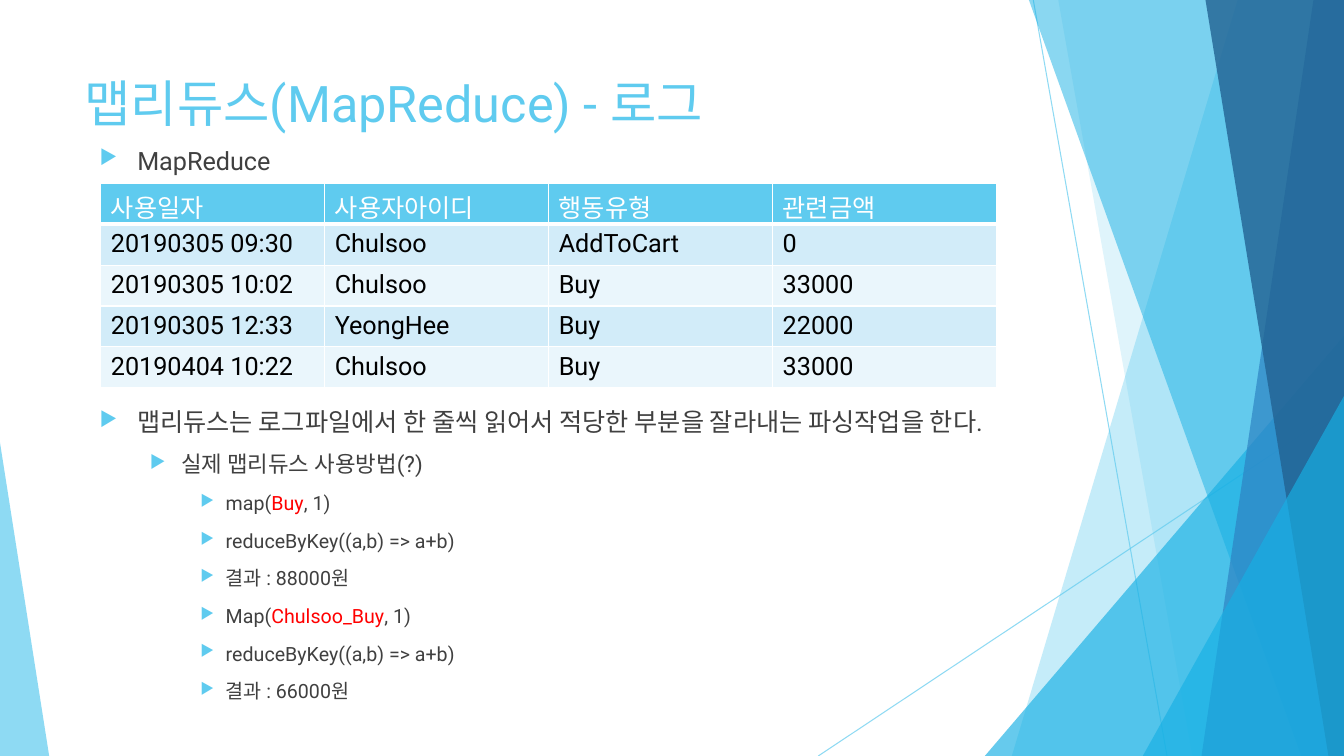
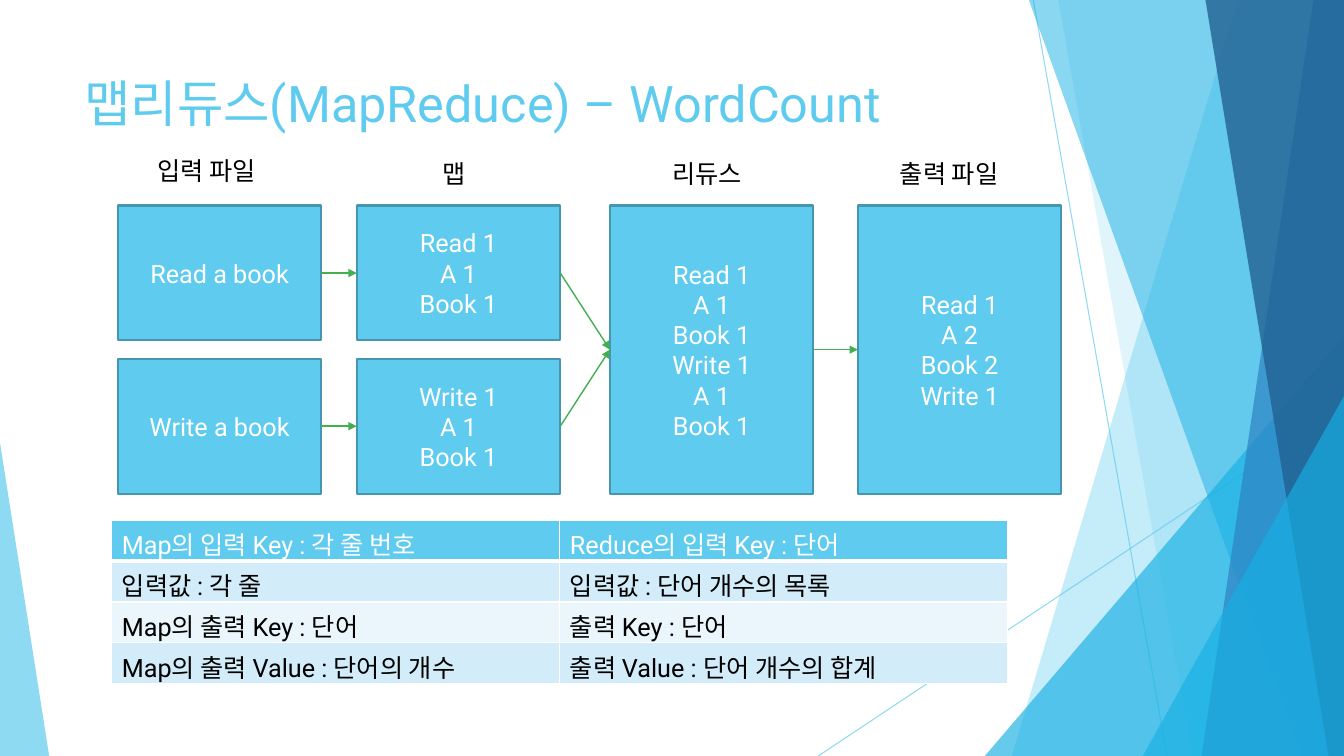
from dataclasses import dataclass

from lxml.etree import SubElement as Sub
from pptx import Presentation
from pptx.dml.color import RGBColor as RGB
from pptx.enum.shapes import MSO_CONNECTOR as Conn, MSO_SHAPE as Shape
from pptx.enum.text import MSO_ANCHOR as Anchor, PP_ALIGN as Align
from pptx.oxml.ns import qn
from pptx.util import Cm, Pt


@dataclass(frozen=True)
class Theme:
    font: str = "Roboto"
    sky: str = "5FCBEF"
    azure: str = "17B0E4"
    blue: str = "2E83C3"
    navy: str = "226292"
    edge: str = "4696B1"
    green: str = "42B051"
    red: str = "FF0000"
    white: str = "FFFFFF"
    black: str = "000000"
    grey: str = "404040"
    bands: tuple = ("D2ECF9", "EAF6FC")
    title: int = 36
    text: int = 18
    levels: tuple = (18, 16, 14)


T = Theme()
W, H = 33.87, 19.05

# Shared backdrop, back to front
RAYS = [(26.04, 0, 29.41, H), (W, 10.24, 20.62, H)]
# slant: top x, bottom x; wedge: left, top, width, peak
BACKDROP = [
    ("slant", (31.19, 25.5), T.sky, 36),
    ("slant", (26.67, 30.05), T.sky, 20),
    ("wedge", (24.82, 8.46, 9.05, 1), T.azure, 66),
    ("slant", (25.93, 32.79), T.azure, 50),
    ("slant", (33.1, 30.28), T.blue, 70),
    ("slant", (30.38, 33.48), T.navy, 80),
    ("wedge", (28.8, 9.98, 5.07, 1), T.azure, 66),
    ("wedge", (0, 11.15, 1.24, 0), T.sky, 70),
]

# Slide 1: a bar encloses a highlighted word
LOG = [
    ["사용일자", "사용자아이디", "행동유형", "관련금액"],
    ["20190305 09:30", "Chulsoo", "AddToCart", "0"],
    ["20190305 10:02", "Chulsoo", "Buy", "33000"],
    ["20190305 12:33", "YeongHee", "Buy", "22000"],
    ["20190404 10:22", "Chulsoo", "Buy", "33000"],
]
STEPS = [
    (0, "맵리듀스는 로그파일에서 한 줄씩 읽어서 적당한 부분을 잘라내는 파싱작업을 한다."),
    (1, "실제 맵리듀스 사용방법(?)"),
    (2, "map(|Buy|, 1)"),
    (2, "reduceByKey((a,b) => a+b)"),
    (2, "결과 : 88000원"),
    (2, "Map(|Chulsoo_Buy|, 1)"),
    (2, "reduceByKey((a,b) => a+b)"),
    (2, "결과 : 66000원"),
]

# Slide 2: label, label left and top, box left, box contents
STAGES = [
    ("입력 파일", 3.71, 3.78, 2.97, ["Read a book", "Write a book"]),
    ("맵", 10.9, 3.86, 8.99, ["Read 1\nA 1\nBook 1", "Write 1\nA 1\nBook 1"]),
    ("리듀스", 16.69, 3.86, 15.37, ["Read 1\nA 1\nBook 1\nWrite 1\nA 1\nBook 1"]),
    ("출력 파일", 22.43, 3.86, 21.62, ["Read 1\nA 2\nBook 2\nWrite 1"]),
]
KEYS = [
    ["Map의 입력 Key : 각 줄 번호", "Reduce의 입력 Key : 단어"],
    ["입력값 : 각 줄", "입력값 : 단어 개수의 목록"],
    ["Map의 출력 Key : 단어", "출력 Key : 단어"],
    ["Map의 출력 Value : 단어의 개수", "출력 Value : 단어 개수의 합계"],
]


# Formatting helpers
def rgb(color):
    return RGB.from_string(color)


def put(obj, **values):
    for name, value in values.items():
        setattr(obj, name, value)


def solid(fill, color):
    fill.solid()
    fill.fore_color.rgb = rgb(color)


def fade(sp, percent):
    color = sp.element.spPr.find(".//" + qn("a:srgbClr"))
    Sub(color, qn("a:alpha"), val=str(percent * 1000))


def add_run(p, text, size, color):
    r = p.add_run()
    r.text = text
    put(r.font, name=T.font, size=Pt(size), bold=False)
    r.font.color.rgb = rgb(color)


def write(tf, text, size, color, align=Align.LEFT):
    for i, line in enumerate(text.split("\n")):
        p = tf.add_paragraph() if i else tf.paragraphs[0]
        p.alignment = align
        add_run(p, line, size, color)


# Elements
def add_line(s, ends, color, width):
    sp = s.shapes.add_connector(Conn.STRAIGHT, *map(Cm, ends))
    solid(sp.line.fill, color)
    sp.line.width = Pt(width)
    Sub(sp.element.spPr, qn("a:effectLst"))
    return sp


def add_arrow(s, source, target):
    sp = add_line(s, (0, 0, 0, 0), T.green, 1)
    sp.begin_connect(source, 3)
    sp.end_connect(target, 1)
    Sub(sp.element.spPr.find(qn("a:ln")), qn("a:tailEnd"), type="triangle")


def add_slant(s, top, bottom):
    fb = s.shapes.build_freeform(Cm(top), 0)
    corners = [(W, 0), (W, H), (bottom, H)]
    fb.add_line_segments([(Cm(x), Cm(y)) for x, y in corners], close=True)
    return fb.convert_to_shape()


def add_wedge(s, left, top, width, peak):
    box = map(Cm, (left, top, width, H - top))
    sp = s.shapes.add_shape(Shape.ISOSCELES_TRIANGLE, *box)
    sp.adjustments[0] = peak
    return sp


def add_text_box(s, left, top, width, height):
    tf = s.shapes.add_textbox(*map(Cm, (left, top, width, height))).text_frame
    tf.word_wrap = True
    return tf


def add_box(s, left, top, height, text):
    sp = s.shapes.add_shape(Shape.RECTANGLE, *map(Cm, (left, top, 5.13, height)))
    sp.shadow.inherit = False
    solid(sp.fill, T.sky)
    solid(sp.line.fill, T.edge)
    sp.line.width = Pt(1.5)
    put(sp.text_frame, word_wrap=True, vertical_anchor=Anchor.MIDDLE)
    write(sp.text_frame, text, T.text, T.white, Align.CENTER)
    return sp


def add_bullets(s, left, top, width, height, items):
    tf = add_text_box(s, left, top, width, height)
    margins, hangs = (0.95, 2.06, 3.18), (0.95, 0.79, 0.64)
    for i, (level, text) in enumerate(items):
        p = tf.add_paragraph() if i else tf.paragraphs[0]
        put(p, level=level, space_before=Pt(10 if i else 0))
        pPr = p._p.get_or_add_pPr()
        pPr.set("marL", str(Cm(margins[level])))
        pPr.set("indent", str(-Cm(hangs[level])))
        Sub(Sub(pPr, qn("a:buClr")), qn("a:srgbClr"), val=T.sky)
        Sub(pPr, qn("a:buSzPct"), val="80000")
        Sub(pPr, qn("a:buChar"), char="▶")
        for n, part in enumerate(text.split("|")):
            add_run(p, part, T.levels[level], T.red if n % 2 else T.grey)


def add_borders(cell, **widths):
    tcPr = cell._tc.get_or_add_tcPr()
    for side, width in widths.items():
        ln = Sub(tcPr, qn("a:ln" + side), w=str(Pt(width)))
        Sub(Sub(ln, qn("a:solidFill")), qn("a:srgbClr"), val=T.white)


def add_grid(s, left, top, rows):
    width, row_height = 22.58, 1.03
    box = map(Cm, (left, top, width, row_height * len(rows)))
    tbl = s.shapes.add_table(len(rows), len(rows[0]), *box).table
    for col in tbl.columns:
        col.width = Cm(width / len(rows[0]))
    for i, row in enumerate(rows):
        tbl.rows[i].height = Cm(row_height)
        for j, text in enumerate(row):
            cell = tbl.cell(i, j)
            add_borders(cell, L=1, R=1, T=3 if i == 1 else 1, B=1 if i else 3)
            solid(cell.fill, T.bands[(i - 1) % 2] if i else T.sky)
            write(cell.text_frame, text, T.text, T.black if i else T.white)


# Slides
def new_slide(prs, title):
    s = prs.slides.add_slide(prs.slide_layouts[6])
    for ends in RAYS:
        fade(add_line(s, ends, T.sky, 0.75), 70)
    makers = {"slant": add_slant, "wedge": add_wedge}
    for kind, place, color, percent in BACKDROP:
        sp = makers[kind](s, *place)
        sp.shadow.inherit = False
        solid(sp.fill, color)
        sp.line.fill.background()
        fade(sp, percent)
    write(add_text_box(s, 1.88, 1.7, 23.88, 3.66), title, T.title, T.sky)
    return s


def log_slide(prs):
    s = new_slide(prs, "맵리듀스(MapReduce) - 로그")
    add_grid(s, 2.54, 4.62, LOG)
    add_bullets(s, 2.26, 3.53, 23.88, 1, [(0, "MapReduce")])
    add_bullets(s, 2.26, 10.11, 23.88, 8.33, STEPS)


def word_count_slide(prs):
    s = new_slide(prs, "맵리듀스(MapReduce) – WordCount")
    top, full, gap = 5.18, 7.26, 0.46
    columns = []
    for label, x, y, left, texts in STAGES:
        write(add_text_box(s, x, y, 6.6, 1.02), label, T.text, T.black)
        height = (full - gap * (len(texts) - 1)) / len(texts)
        columns.append([add_box(s, left, top + i * (height + gap), height, text)
                        for i, text in enumerate(texts)])
    # Equal columns link row by row, otherwise all feed one box
    for sources, targets in zip(columns, columns[1:]):
        for i, source in enumerate(sources):
            add_arrow(s, source, targets[min(i, len(targets) - 1)])
    add_grid(s, 2.82, 13.11, KEYS)


def main():
    prs = Presentation()
    put(prs, slide_width=Cm(W), slide_height=Cm(H))
    log_slide(prs)
    word_count_slide(prs)
    prs.save("out.pptx")


if __name__ == "__main__":
    main()
